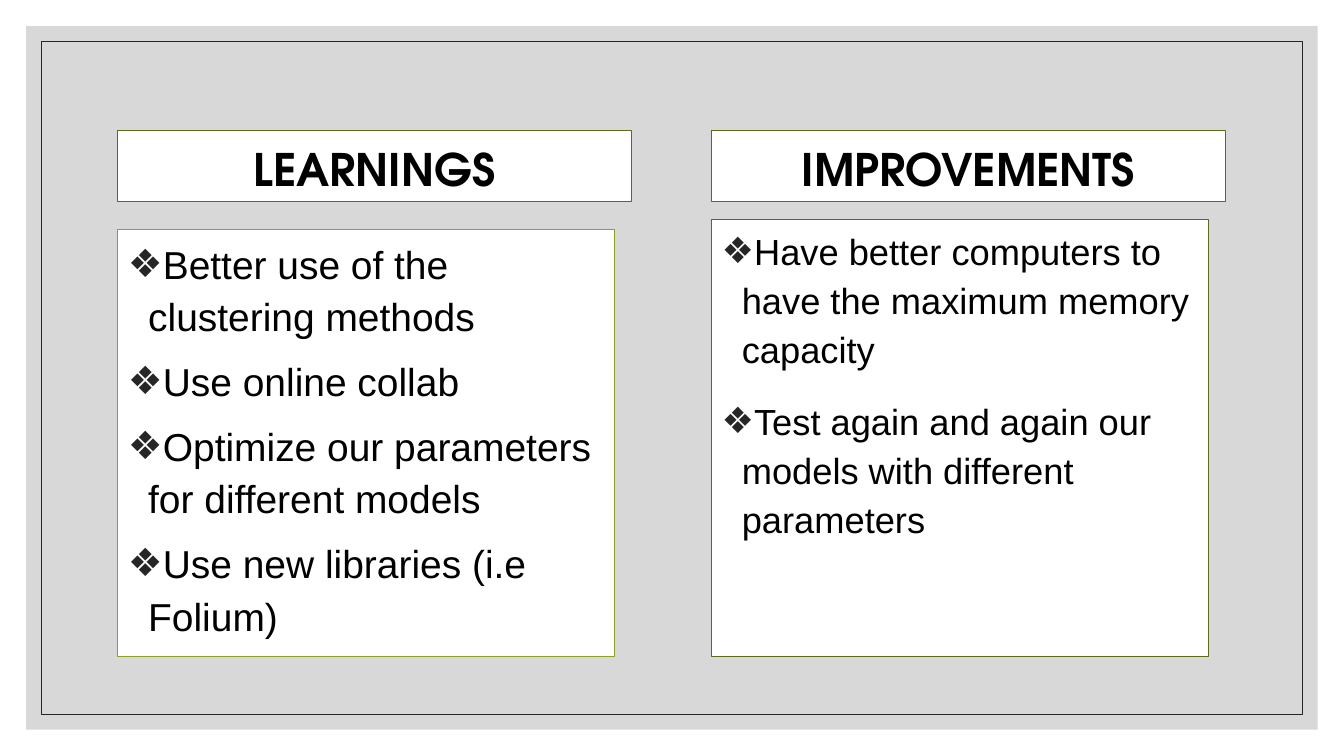
from dataclasses import dataclass

from lxml.etree import SubElement
from pptx import Presentation
from pptx.dml.color import RGBColor
from pptx.enum.shapes import MSO_SHAPE
from pptx.enum.text import MSO_ANCHOR as Anchor, MSO_AUTO_SIZE as AutoSize, PP_ALIGN as Align
from pptx.oxml.ns import qn
from pptx.util import Cm, Pt

COLUMNS = [
    {
        "heading": "LEARNINGS",
        "items": [
            "Better use of the clustering methods",
            "Use online collab",
            "Optimize our parameters for different models",
            "Use new libraries (i.e Folium)",
        ],
        "left": 2.97, "list_top": 5.79, "size": 27.8, "gap": 9, "border": "8CA023",
    },
    {
        "heading": "IMPROVEMENTS",
        "items": [
            "Have better computers to have the maximum memory capacity",
            "Test again and again our models with different parameters",
        ],
        "left": 17.93, "list_top": 5.52, "size": 25.9, "gap": 17, "border": "5D6B18",
    },
]


@dataclass(frozen=True)
class Theme:
    panel: str = "BFBFBF"
    panel_opacity: int = 60
    dark: str = "262626"
    box: str = "FFFFFF"
    text: str = "000000"
    border: str = "5D6B18"
    heading_font: str = "TeX Gyre Adventor"
    body_font: str = "Arial"
    heading_size: float = 32


THEME = Theme()
SLIDE_WIDTH, SLIDE_HEIGHT = 33.87, 19.05
PANEL_MARGIN, FRAME_MARGIN = 0.66, 1.04
HEADING_TOP, HEADING_WIDTH, HEADING_HEIGHT = 3.3, 12.95, 1.78
LIST_WIDTH, LIST_BOTTOM = 12.52, 16.55
BULLET_INDENT = 0.51


def color(value):
    return RGBColor.from_string(value)


def add_backdrop(slide, margin, position):
    """Add a rectangle inset from the slide edges, at a given place in the stack."""
    shape = slide.shapes.add_shape(
        MSO_SHAPE.RECTANGLE, Cm(margin), Cm(margin),
        Cm(SLIDE_WIDTH - 2 * margin), Cm(SLIDE_HEIGHT - 2 * margin))
    shape.shadow.inherit = False
    slide.shapes.element.insert(2 + position, shape.element)
    return shape


def place_box(shape, left, top, width, height, border):
    shape.left, shape.top = Cm(left), Cm(top)
    shape.width, shape.height = Cm(width), Cm(height)
    shape.fill.solid()
    shape.fill.fore_color.rgb = color(THEME.box)
    shape.line.color.rgb = color(border)
    shape.line.width = Pt(0.75)


def set_bullet(paragraph, symbol):
    """Give a paragraph its symbol with a hanging indent, or none if symbol is empty."""
    properties = paragraph._p.get_or_add_pPr()
    indent = Cm(BULLET_INDENT) if symbol else 0
    properties.set("marL", str(indent))
    properties.set("indent", str(-indent))
    if symbol:
        bullet_color = SubElement(properties, qn("a:buClr"))
        SubElement(bullet_color, qn("a:srgbClr"), val=THEME.dark)
        SubElement(properties, qn("a:buFont"), typeface=THEME.body_font)
        SubElement(properties, qn("a:buChar"), char=symbol)
    else:
        SubElement(properties, qn("a:buNone"))


def write_text(shape, lines, *, font, size, bold=False, align=Align.LEFT,
               anchor=Anchor.TOP, spacing=1.1, gap=0, bullet=""):
    frame = shape.text_frame
    frame.text = "\n".join(lines)
    frame.word_wrap = True
    frame.auto_size = AutoSize.NONE
    frame.vertical_anchor = anchor
    for index, paragraph in enumerate(frame.paragraphs):
        set_bullet(paragraph, bullet)
        paragraph.alignment = align
        paragraph.line_spacing = spacing
        paragraph.space_before = Pt(gap if index else 0)
        paragraph.space_after = Pt(0)
        for run in paragraph.runs:
            run.font.name = font
            run.font.size = Pt(size)
            run.font.bold = bold
            run.font.color.rgb = color(THEME.text)


def add_backdrops(slide):
    panel = add_backdrop(slide, PANEL_MARGIN, 0)
    panel.fill.solid()
    panel.fill.fore_color.rgb = color(THEME.panel)
    panel.line.fill.background()
    panel_color = panel.element.spPr.find(qn("a:solidFill"))[0]
    SubElement(panel_color, qn("a:alpha"), val=str(THEME.panel_opacity * 1000))

    frame = add_backdrop(slide, FRAME_MARGIN, 1)
    frame.fill.background()
    frame.line.color.rgb = color(THEME.dark)
    frame.line.width = Pt(0.5)


def main():
    presentation = Presentation()
    presentation.slide_width = Cm(SLIDE_WIDTH)
    presentation.slide_height = Cm(SLIDE_HEIGHT)
    slide = presentation.slides.add_slide(presentation.slide_layouts.get_by_name("Comparison"))
    title, *boxes = list(slide.placeholders)[:5]
    title.element.getparent().remove(title.element)
    add_backdrops(slide)

    for column, heading, listing in zip(COLUMNS, boxes[::2], boxes[1::2]):
        place_box(heading, column["left"], HEADING_TOP, HEADING_WIDTH, HEADING_HEIGHT,
                  THEME.border)
        write_text(heading, [column["heading"]], font=THEME.heading_font,
                   size=THEME.heading_size, bold=True, align=Align.CENTER,
                   anchor=Anchor.MIDDLE)
        top = column["list_top"]
        place_box(listing, column["left"], top, LIST_WIDTH, LIST_BOTTOM - top,
                  column["border"])
        write_text(listing, column["items"], font=THEME.body_font, size=column["size"],
                   spacing=1.12, gap=column["gap"], bullet="❖")

    presentation.save("out.pptx")


if __name__ == "__main__":
    main()
